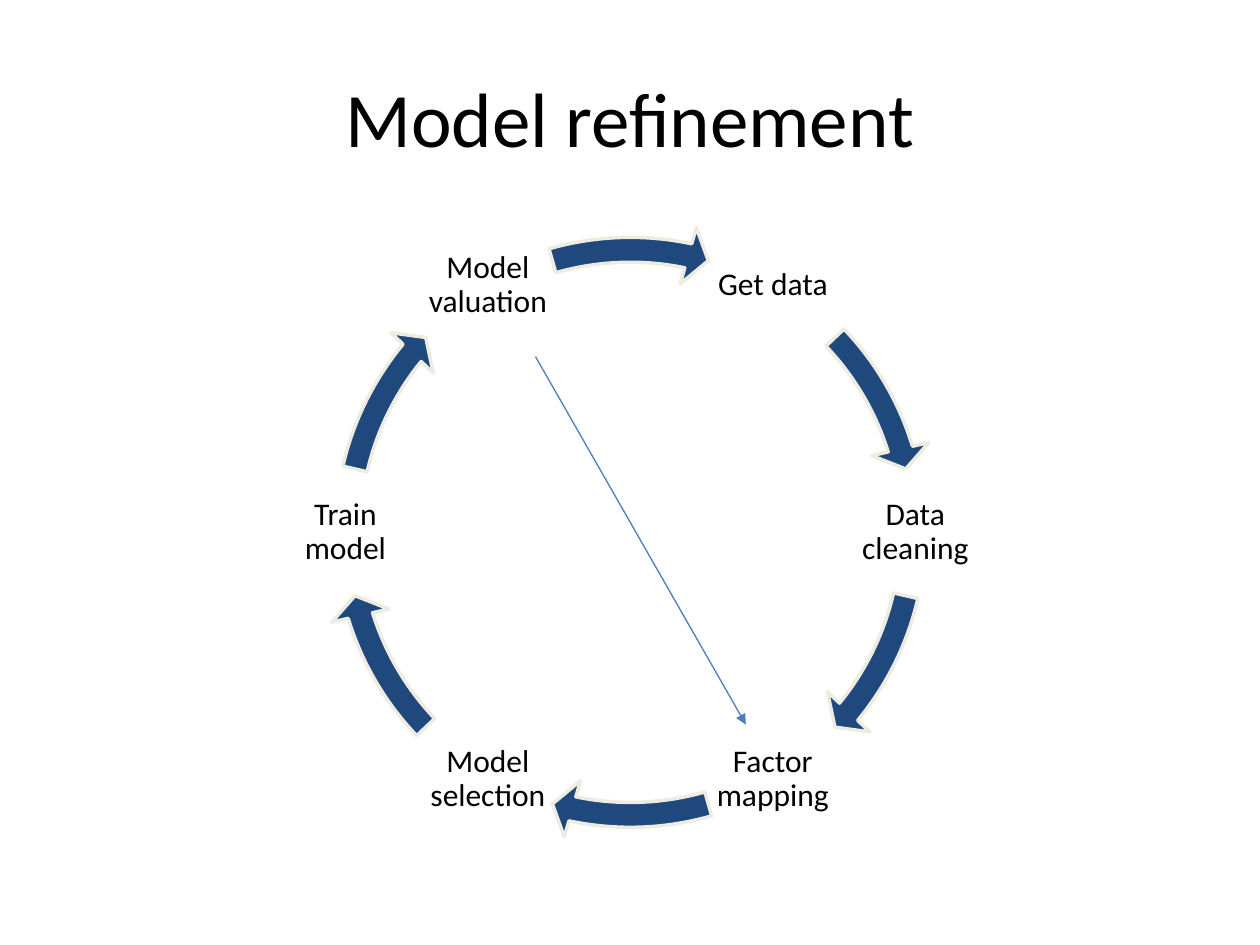
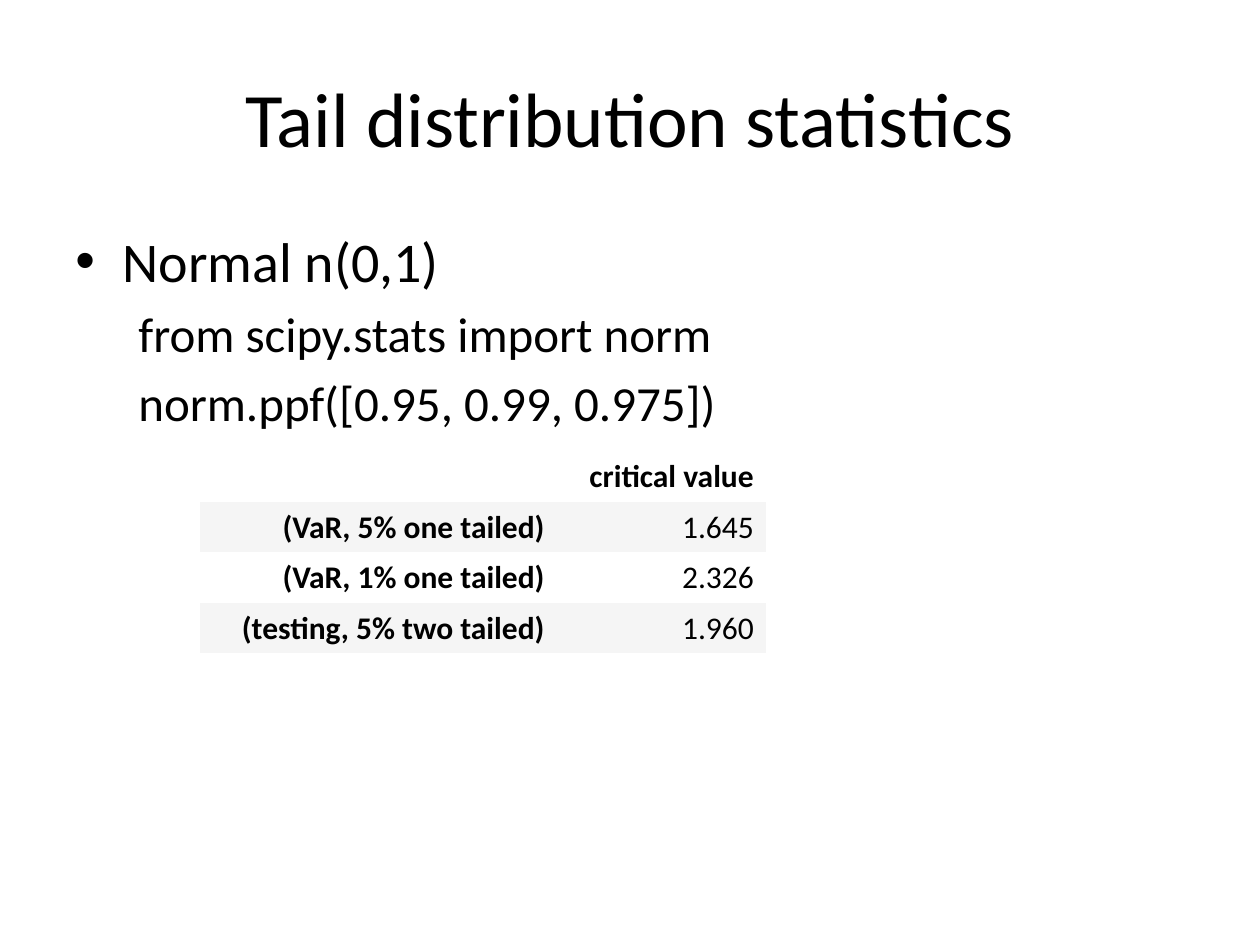
from dataclasses import dataclass
from math import cos, radians, sin

from lxml.etree import SubElement
from pptx import Presentation
from pptx.dml.color import RGBColor
from pptx.enum.shapes import MSO_CONNECTOR as Connector, MSO_SHAPE as Preset
from pptx.enum.text import MSO_ANCHOR as Anchor, PP_ALIGN as Align
from pptx.oxml.ns import qn
from pptx.util import Pt


@dataclass(frozen=True)
class Theme:
    font: str = "Calibri"
    text: RGBColor = RGBColor(0, 0, 0)
    background: RGBColor = RGBColor(0xFF, 0xFF, 0xFF)
    stripe: RGBColor = RGBColor(0xF5, 0xF5, 0xF5)
    arrow_fill: RGBColor = RGBColor(0x1F, 0x49, 0x7D)
    arrow_edge: RGBColor = RGBColor(0xEE, 0xEC, 0xE1)
    shortcut: RGBColor = RGBColor(0x4B, 0x7E, 0xBC)
    title_size: float = 44
    bullet_size: float = 32
    code_size: float = 28
    small_size: float = 18


THEME = Theme()
NO_TABLE_STYLE = "{2D5ABB26-0587-4C30-8999-92F81FD0307C}"


@dataclass(frozen=True)
class Step:
    """A stage of the cycle, with the angles its outgoing arrow spans."""
    label: str
    arrow_start: float
    arrow_end: float


@dataclass(frozen=True)
class Cycle:
    center_x: float = 360.2
    center_y: float = 304.2
    label_radius: float = 162.8
    label_size: float = 72.7
    arrow_size: float = 356.4
    first_angle: float = -60


# Arrow spans of one half turn; the other half is the same plus 180 degrees
HALF_TURN = [(-43.59, -17.14), (12.96, 39.42), (73.99, 101.83)]
SPANS = [(start + turn, end + turn) for turn in (0, 180) for start, end in HALF_TURN]
LABELS = ["Get data", "Data cleaning", "Factor mapping",
          "Model selection", "Train model", "Model valuation"]
STEPS = [Step(label, *span) for label, span in zip(LABELS, SPANS)]

CODE_LINES = ["from scipy.stats import norm", "norm.ppf([0.95, 0.99, 0.975])"]
CRITICAL_VALUES = [
    ("", "critical value"),
    ("(VaR, 5% one tailed)", "1.645"),
    ("(VaR, 1% one tailed)", "2.326"),
    ("(testing, 5% two tailed)", "1.960"),
]


def style(paragraph, size: float, align: Align = Align.LEFT, bold: bool = False) -> None:
    paragraph.alignment = align
    font = paragraph.font
    font.name, font.size, font.bold = THEME.font, Pt(size), bold
    font.color.rgb = THEME.text


def add_titled_slide(presentation, title: str):
    slide = presentation.slides.add_slide(presentation.slide_layouts[5])
    slide.background.fill.solid()
    slide.background.fill.fore_color.rgb = THEME.background
    shape = slide.shapes.title
    shape.left, shape.top, shape.width, shape.height = Pt(36), Pt(21.6), Pt(648), Pt(90)
    frame = shape.text_frame
    frame.text = title
    frame.vertical_anchor = Anchor.MIDDLE
    style(frame.paragraphs[0], THEME.title_size, Align.CENTER)
    return slide


def add_text_frame(slide, left: float, top: float, width: float, height: float):
    box = slide.shapes.add_textbox(Pt(left), Pt(top), Pt(width), Pt(height))
    box.text_frame.word_wrap = True
    return box.text_frame


def add_step_label(slide, cycle: Cycle, label: str, angle: float) -> None:
    size = cycle.label_size
    left = cycle.center_x + cycle.label_radius * cos(radians(angle)) - size / 2
    top = cycle.center_y + cycle.label_radius * sin(radians(angle)) - size / 2
    frame = add_text_frame(slide, left, top, size, size)
    frame.vertical_anchor = Anchor.MIDDLE
    frame.margin_left = frame.margin_right = Pt(2)
    frame.margin_top = frame.margin_bottom = Pt(2)
    frame.text = label
    paragraph = frame.paragraphs[0]
    paragraph.line_spacing = 0.9
    paragraph.space_after = Pt(0.35 * THEME.small_size)
    style(paragraph, THEME.small_size, Align.CENTER)


def add_step_arrow(slide, cycle: Cycle, step: Step) -> None:
    size = cycle.arrow_size
    arrow = slide.shapes.add_shape(
        Preset.CIRCULAR_ARROW, Pt(cycle.center_x - size / 2),
        Pt(cycle.center_y - size / 2), Pt(size), Pt(size))
    arrow.shadow.inherit = False
    # One degree is 0.6 adjustment units
    values = (0.04, 2.51, step.arrow_end % 360 * 0.6, step.arrow_start % 360 * 0.6, 0.047)
    for index, value in enumerate(values):
        arrow.adjustments[index] = value
    arrow.fill.solid()
    arrow.fill.fore_color.rgb = THEME.arrow_fill
    arrow.line.color.rgb = THEME.arrow_edge
    arrow.line.width = Pt(2)


def add_shortcut(slide) -> None:
    connector = slide.shapes.add_connector(
        Connector.STRAIGHT, Pt(306), Pt(203.8), Pt(426.2), Pt(414))
    connector.line.color.rgb = THEME.shortcut
    connector.line.width = Pt(0.75)
    SubElement(connector.line._get_or_add_ln(), qn("a:tailEnd"), type="triangle")
    SubElement(connector._element.spPr, qn("a:effectLst"))


def build_refinement_slide(presentation) -> None:
    slide = add_titled_slide(presentation, "Model refinement")
    cycle = Cycle()
    for index, step in enumerate(STEPS):
        angle = cycle.first_angle + index * 360 / len(STEPS)
        add_step_label(slide, cycle, step.label, angle)
        add_step_arrow(slide, cycle, step)
    add_shortcut(slide)


def add_normal_example(slide) -> None:
    frame = add_text_frame(slide, 36, 126, 648, 356.4)
    # Bulleted heading
    frame.text = "Normal n(0,1)"
    heading = frame.paragraphs[0]
    properties = heading._p.get_or_add_pPr()
    properties.set("marL", str(Pt(27)))
    properties.set("indent", str(Pt(-27)))
    SubElement(properties, qn("a:buFont"), typeface="Arial")
    SubElement(properties, qn("a:buChar"), char="•")
    style(heading, THEME.bullet_size)
    # Indented code
    for line in CODE_LINES:
        paragraph = frame.add_paragraph()
        paragraph.text = line
        paragraph._p.get_or_add_pPr().set("marL", str(Pt(36)))
        paragraph.space_before = Pt(0.2 * THEME.code_size)
        style(paragraph, THEME.code_size)


def add_critical_values(slide) -> None:
    widths = (204.5, 119.5)
    table = slide.shapes.add_table(
        len(CRITICAL_VALUES), len(widths),
        Pt(114), Pt(258), Pt(sum(widths)), Pt(28.8 * len(CRITICAL_VALUES))).table
    table.first_row = table.horz_banding = False
    table._tbl.tblPr.find(qn("a:tableStyleId")).text = NO_TABLE_STYLE
    for column, width in zip(table.columns, widths):
        column.width = Pt(width)
    for row, texts in enumerate(CRITICAL_VALUES):
        for column, text in enumerate(texts):
            cell = table.cell(row, column)
            cell.text = text
            cell.vertical_anchor = Anchor.MIDDLE
            cell.fill.solid()
            cell.fill.fore_color.rgb = THEME.stripe if row % 2 else THEME.background
            style(cell.text_frame.paragraphs[0], THEME.small_size, Align.RIGHT,
                  bold=row == 0 or column == 0)


def build_statistics_slide(presentation) -> None:
    slide = add_titled_slide(presentation, "Tail distribution statistics")
    add_normal_example(slide)
    add_critical_values(slide)


def main() -> None:
    presentation = Presentation()
    presentation.slide_width, presentation.slide_height = Pt(720), Pt(540)
    build_refinement_slide(presentation)
    build_statistics_slide(presentation)
    presentation.save("out.pptx")


if __name__ == "__main__":
    main()
